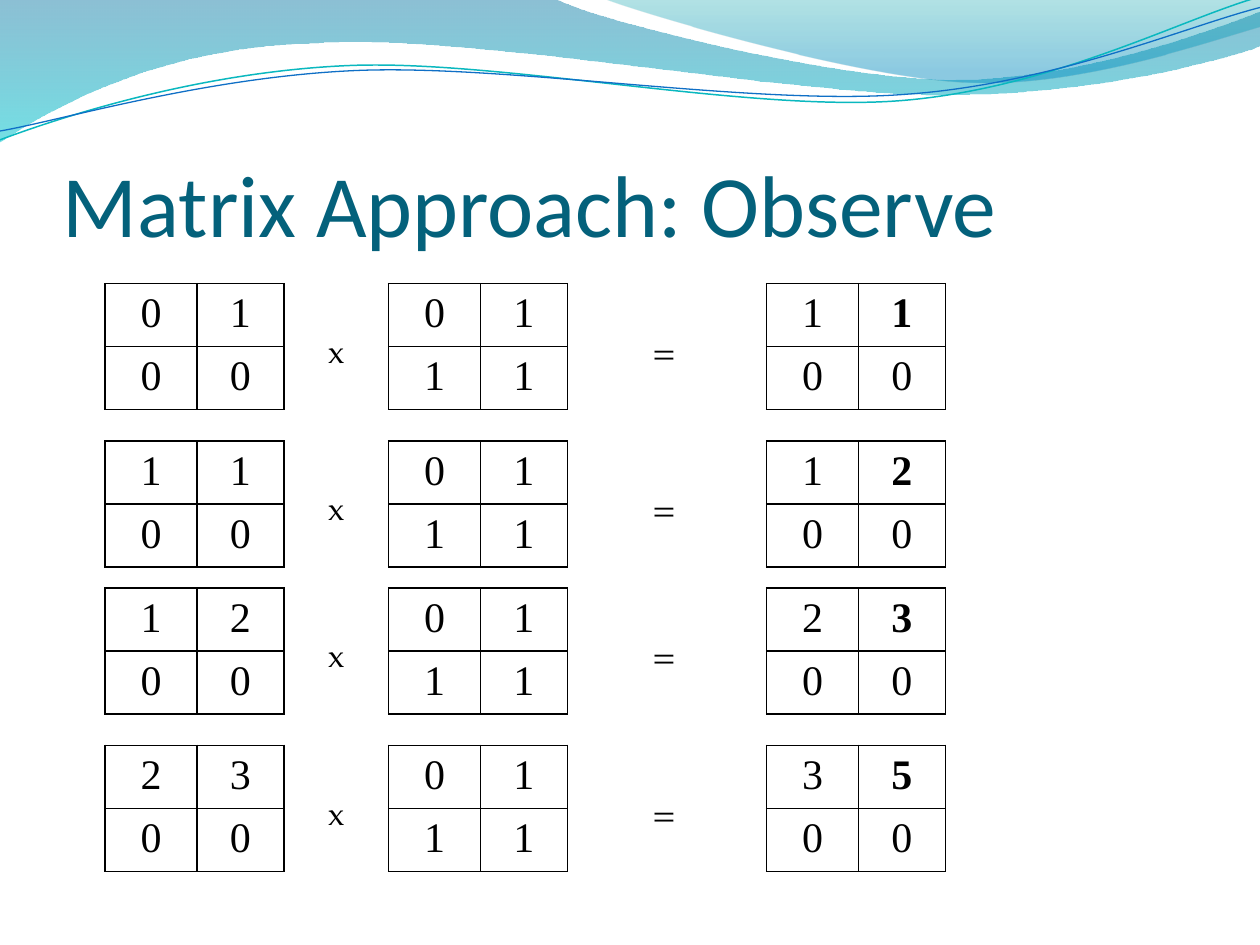
from math import cos, radians, sin

from lxml.etree import SubElement
from pptx import Presentation
from pptx.dml.color import RGBColor
from pptx.enum.text import MSO_ANCHOR, PP_ALIGN
from pptx.oxml.ns import qn
from pptx.util import Inches, Pt

COLUMN_WIDTHS = (0.73, 0.69)
ROW_HEIGHT = 0.5
GRID = 1 / 12


def rgb(value):
    """Turn a hex string into a colour."""
    return RGBColor.from_string(value)


def turn(point, center, degrees):
    """Rotate a point clockwise around a center."""
    angle = radians(degrees)
    dx, dy = point[0] - center[0], point[1] - center[1]
    return (center[0] + dx * cos(angle) - dy * sin(angle),
            center[1] + dx * sin(angle) + dy * cos(angle))


class SlideBuilder:
    """Holds the style and the current slide."""

    title_font = "Calibri"
    number_font = "Times New Roman"
    sign_font = "TeX Gyre Pagella"
    title_color = "04617B"
    ink = "000000"

    def __init__(self, page):
        self.page = page

    def style(self, para, font, size, color, bold=False):
        """Format every run of a paragraph."""
        for span in para.runs:
            span.font.name = font
            span.font.size = Pt(size)
            span.font.bold = bold
            span.font.color.rgb = rgb(color)

    def outline(self, start, segments, closed, center=(0, 0), rotation=0):
        """Add a freeform of straight (2 numbers) and cubic (6 numbers) segments."""
        points = [start]
        for segment in segments:
            points += zip(segment[::2], segment[1::2])
        corners = [tuple(map(Inches, turn(point, center, -rotation))) for point in points]
        builder = self.page.shapes.build_freeform(*corners[0])
        builder.add_line_segments(corners[1:], close=closed)
        shape = builder.convert_to_shape()
        shape.shadow.inherit = False
        shape.rotation = rotation
        lines = shape._element.spPr.iter(qn("a:lnTo"))
        lines = iter(list(lines))
        for segment in segments:
            first = next(lines)
            if len(segment) == 6:
                curve = SubElement(first.getparent(), qn("a:cubicBezTo"))
                first.addprevious(curve)
                for line in (first, next(lines), next(lines)):
                    curve.append(line[0])
                    line.getparent().remove(line)
        return shape

    def wave(self, start, segments, stops):
        """Add a translucent band; stops are (position, colour, opacity)."""
        shape = self.outline(start, segments, True)
        shape.line.fill.background()
        shape.fill.gradient()
        shape.fill.gradient_angle = 270
        for stop, (position, color, _) in zip(shape.fill.gradient_stops, stops):
            stop.position = position
            stop.color.rgb = rgb(color)
        tags = shape._element.spPr.iter(qn("a:srgbClr"))
        for tag, (_, _, opacity) in zip(tags, stops):
            SubElement(tag, qn("a:alpha"), val=str(opacity * 1000))

    def strand(self, start, segments, center, color, width):
        """Add an open curved line, slightly tilted."""
        shape = self.outline(start, segments, False, center, 357.3)
        shape.fill.background()
        shape.line.color.rgb = rgb(color)
        shape.line.width = Pt(width)

    def title(self, text, left, top, width, height):
        """Add the heading, resting on the bottom of its box."""
        box = self.page.shapes.add_textbox(*map(Inches, (left, top, width, height)))
        frame = box.text_frame
        frame.word_wrap = True
        frame.vertical_anchor = MSO_ANCHOR.BOTTOM
        frame.margin_left = frame.margin_right = frame.margin_bottom = 0
        frame.text = text
        self.style(frame.paragraphs[0], self.title_font, 50, self.title_color)

    def sign(self, text, left, top, width):
        """Add an operator sign."""
        box = self.page.shapes.add_textbox(*map(Inches, (left, top, width, 0.4)))
        box.text_frame.word_wrap = False
        box.text_frame.text = text
        self.style(box.text_frame.paragraphs[0], self.sign_font, 18, self.ink)

    def border(self, cell):
        """Draw a thin line on all four sides of a cell."""
        properties = cell._tc.get_or_add_tcPr()
        for side in ("a:lnL", "a:lnR", "a:lnT", "a:lnB"):
            line = SubElement(properties, qn(side), w=str(Pt(1)))
            SubElement(SubElement(line, qn("a:solidFill")), qn("a:srgbClr"), val=self.ink)

    def matrix(self, rows, left, top, bold_at=None):
        """Add a bordered table of numbers, with one entry optionally bold."""
        table = self.page.shapes.add_table(
            len(rows), len(COLUMN_WIDTHS), Inches(left), Inches(top),
            Inches(sum(COLUMN_WIDTHS)), Inches(ROW_HEIGHT * len(rows))).table
        table.first_row = table.horz_banding = False
        for column, width in zip(table.columns, COLUMN_WIDTHS):
            column.width = Inches(width)
        for r, row in enumerate(rows):
            for c, number in enumerate(row):
                cell = table.cell(r, c)
                cell.margin_left = cell.margin_right = Inches(0.07)
                cell.margin_top = cell.margin_bottom = 0
                self.border(cell)
                cell.fill.background()
                cell.text_frame.text = str(number)
                para = cell.text_frame.paragraphs[0]
                para.alignment = PP_ALIGN.CENTER
                para.line_spacing = 1.15
                self.style(para, self.number_font, 24, self.ink, (r, c) == bold_at)


deck = Presentation()
deck.slide_width, deck.slide_height = Inches(10), Inches(7.5)
slide = SlideBuilder(deck.slides.add_slide(deck.slide_layouts[6]))

slide.wave(
    (0, 0),
    [(4.4, -0.01), (4.76, 0.17, 6.64, 0.63, 7.58, 0.63),
     (8.53, 0.63, 9.58, 0.26, 10, 0.09), (10.01, 0.36),
     (9.83, 0.44, 8.7, 0.76, 7.46, 0.75), (6.22, 0.75, 3.82, 0.28, 2.57, 0.34),
     (1.29, 0.36, 0.46, 0.83, -0.01, 1.13), (0, 0)],
    [(0, "0074A1", 45), (1, "00C6CF", 55)])
slide.wave(
    (4.79, -0.01),
    [(5.09, 0.11, 6.82, 0.62, 7.69, 0.65), (8.56, 0.69, 9.61, 0.32, 10, 0.21),
     (10, 0), (4.79, -0.01)],
    [(0, "00A1A9", 30), (0.8, "008BBF", 45)])
slide.strand(
    (0, 1.11),
    [(0.48, 0.93, 1.58, 0.57, 2.77, 0.52), (3.95, 0.47, 5.93, 0.89, 7.13, 0.8),
     (8.33, 0.71, 9.38, 0.15, 9.98, -0.02)],
    (4.99, 0.58), "0AB8BF", 0.85)
slide.strand(
    (0, 1.04),
    [(0.47, 0.96, 1.64, 0.61, 2.83, 0.56), (4.03, 0.51, 5.97, 0.84, 7.17, 0.75),
     (8.36, 0.67, 9.41, 0.21, 10, 0.06)],
    (5, 0.59), "0F6FC6", 0.75)

slide.title("Matrix Approach: Observe", 0.5, 0.77, 9, 1.25)

# Each product row shifts the Fibonacci pair one step along.
pair = (0, 1)
for top in (27 * GRID, 42 * GRID, 56 * GRID, 71 * GRID):
    following = (pair[1], sum(pair))
    slide.matrix([pair, (0, 0)], 10 * GRID, top)
    slide.sign("x", 2.51, top + 4 * GRID, 0.32)
    slide.matrix([(0, 1), (1, 1)], 37 * GRID, top)
    slide.sign("=", 5.08, top + 4 * GRID, 0.34)
    slide.matrix([following, (0, 0)], 73 * GRID, top, bold_at=(0, 1))
    pair = following

deck.save("out.pptx")
